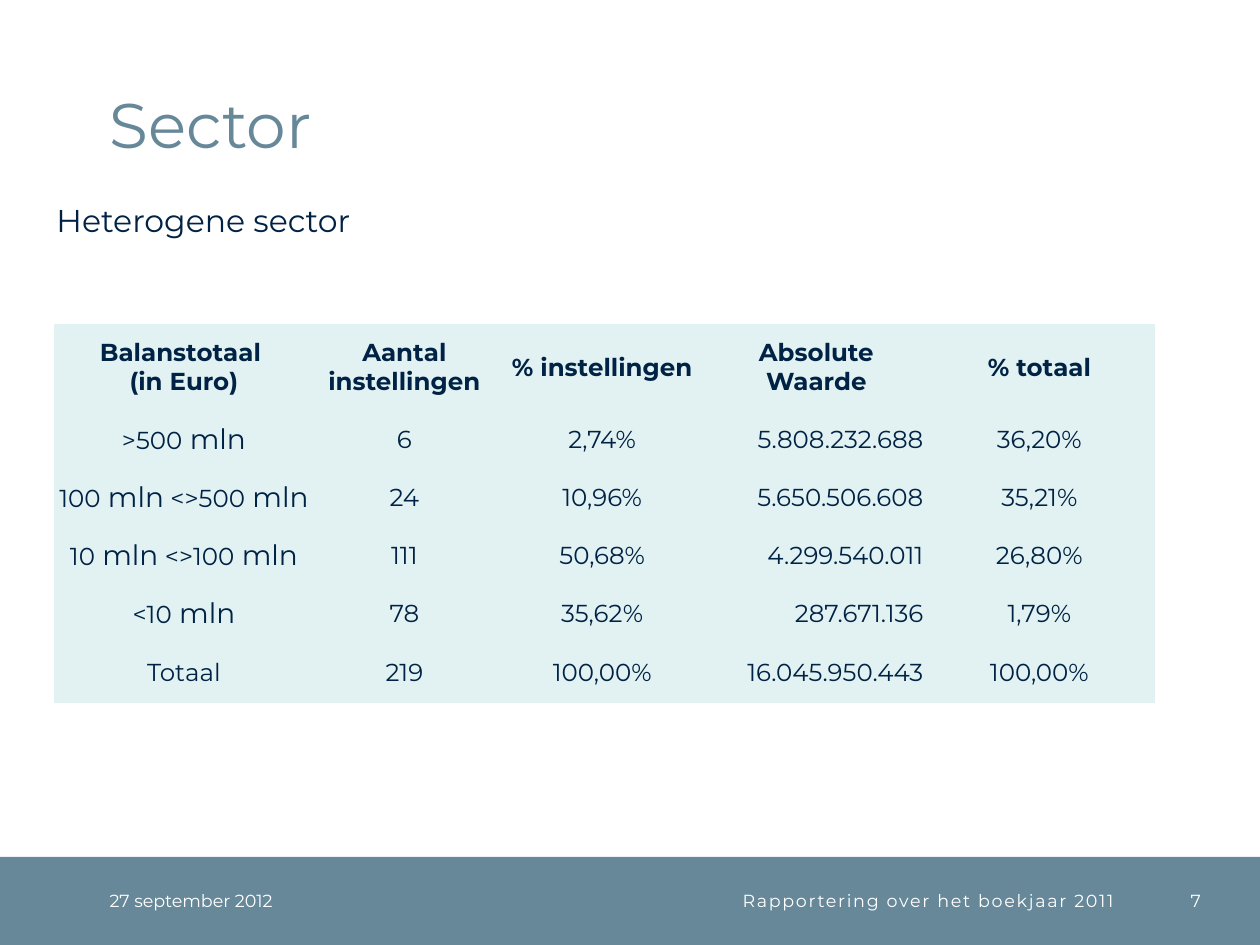
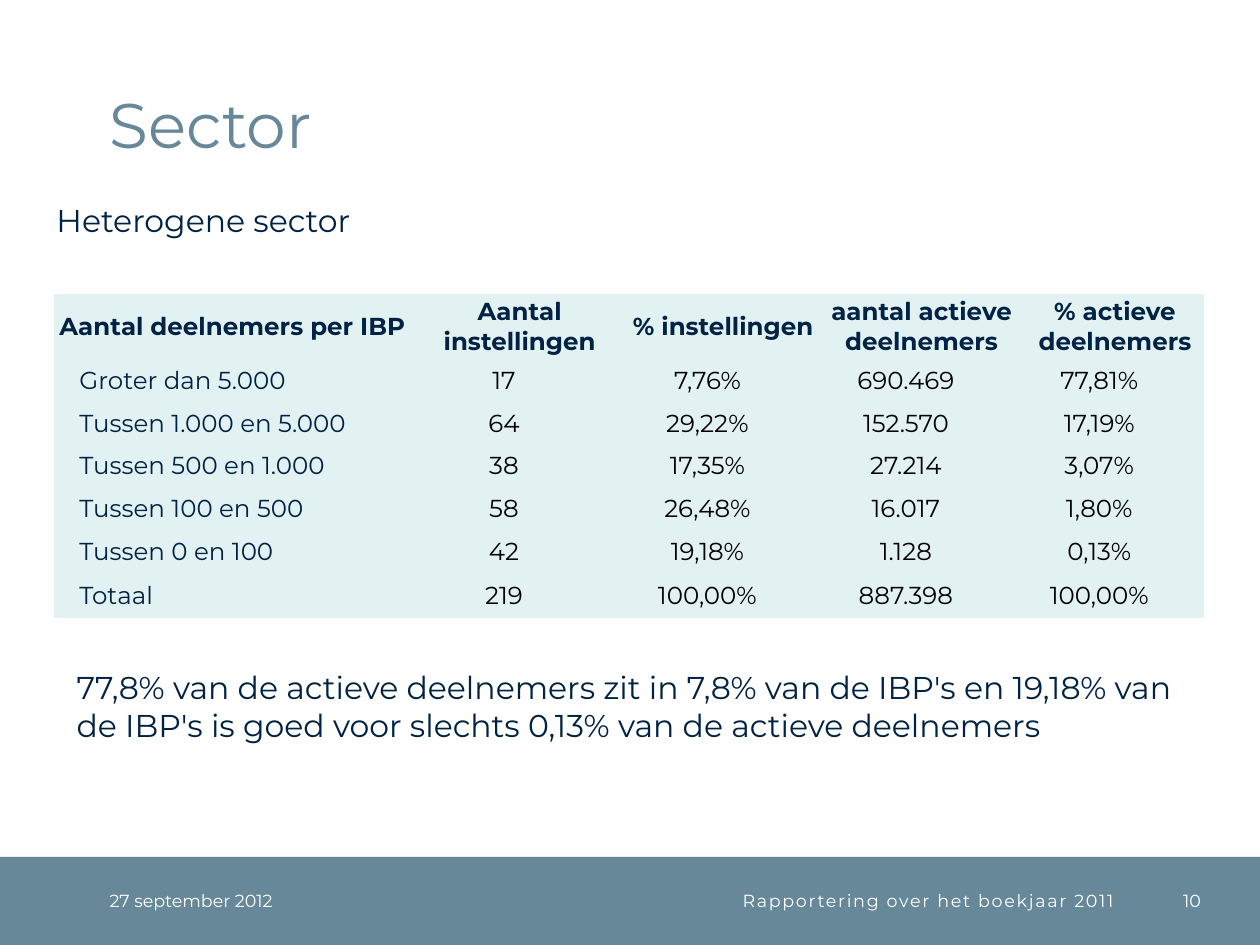
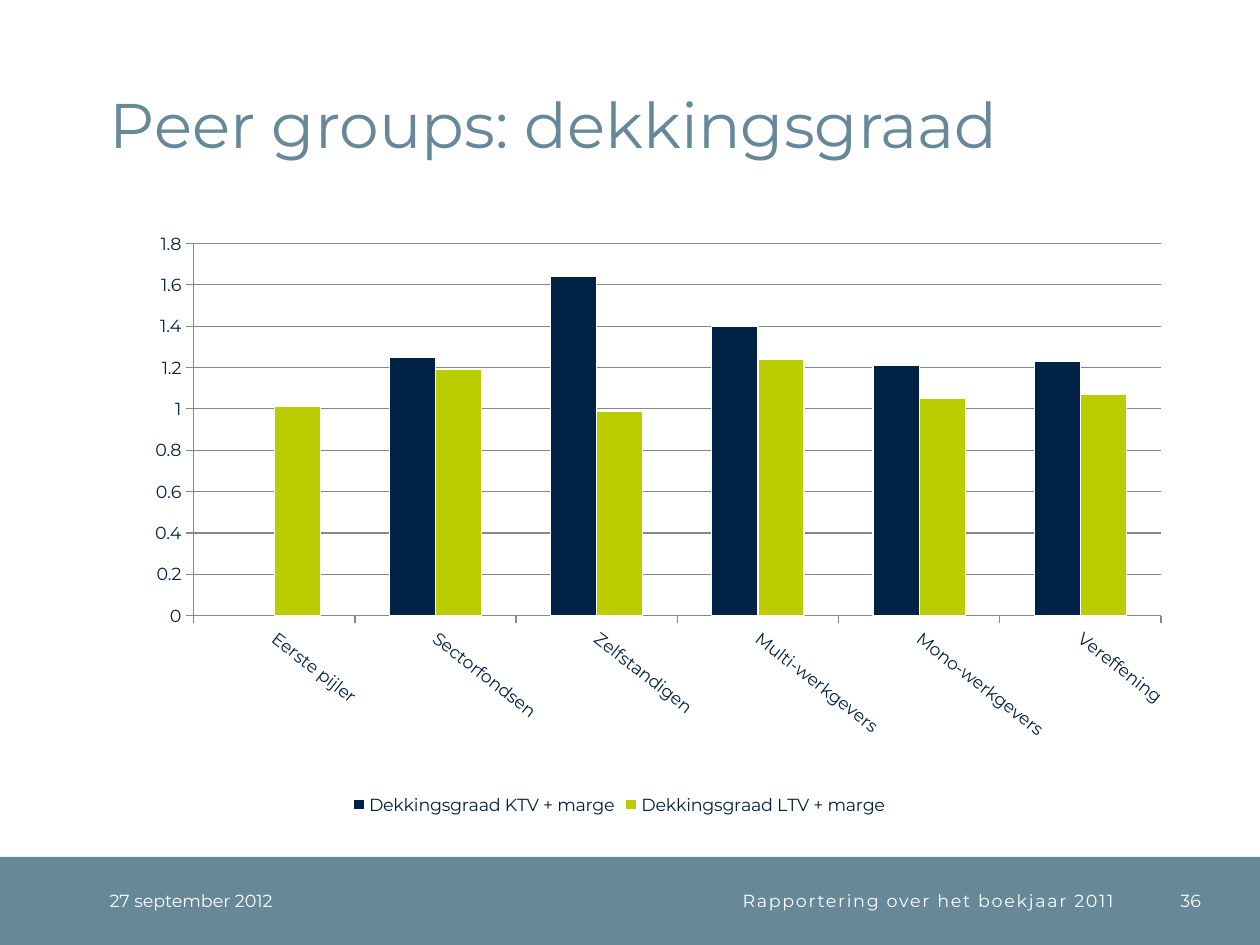
import pptx
import pptx.chart.data
import pptx.dml.color
import pptx.enum.chart
import pptx.enum.shapes
import pptx.enum.text
import pptx.oxml
import pptx.oxml.ns
import pptx.util
from pptx.dml.color import RGBColor
from pptx.util import Inches

WHITE = RGBColor(0xFF, 0xFF, 0xFF)
BLACK = RGBColor(0x00, 0x00, 0x00)
NAVY = RGBColor(0x00, 0x22, 0x44)
SLATE = RGBColor(0x66, 0x88, 0x99)
LIME = RGBColor(0xBB, 0xCC, 0x00)
PALE = RGBColor(0xE2, 0xF2, 0xF2)
GREY = RGBColor(0x87, 0x87, 0x87)

FONT = "Montserrat"
DATE = "27 september 2012"
FOOTER = "Rapportering over het boekjaar 2011"
NO_TABLE_STYLE = "{2D5ABB26-0587-4C30-8999-92F81FD0307C}"

LEFT = pptx.enum.text.PP_ALIGN.LEFT
CENTER = pptx.enum.text.PP_ALIGN.CENTER
RIGHT = pptx.enum.text.PP_ALIGN.RIGHT
MIDDLE = pptx.enum.text.MSO_ANCHOR.MIDDLE
NO_MARGINS = {f"margin_{side}": 0 for side in ("left", "top", "right", "bottom")}

SIZE_HEADERS = ["Balanstotaal \n(in Euro)", "Aantal instellingen", "% instellingen",
                "Absolute Waarde", "% totaal"]
SIZE_ROWS = [
    [">500 mln", "6", "2,74%", "5.808.232.688", "36,20%"],
    ["100 mln <>500 mln", "24", "10,96%", "5.650.506.608", "35,21%"],
    ["10 mln <>100 mln", "111", "50,68%", "4.299.540.011", "26,80%"],
    ["<10 mln", "78", "35,62%", "287.671.136", "1,79%"],
    ["Totaal", "219", "100,00%", "16.045.950.443", "100,00%"],
]
MEMBER_HEADERS = ["Aantal deelnemers per IBP", "Aantal instellingen", "% instellingen",
                  "aantal actieve deelnemers", "% actieve deelnemers"]
MEMBER_ROWS = [
    ["Groter dan 5.000", "17", "7,76%", "690.469", "77,81%"],
    ["Tussen 1.000 en 5.000", "64", "29,22%", "152.570", "17,19%"],
    ["Tussen 500 en 1.000", "38", "17,35%", "27.214", "3,07%"],
    ["Tussen 100 en 500", "58", "26,48%", "16.017", "1,80%"],
    ["Tussen 0 en 100", "42", "19,18%", "1.128", "0,13%"],
    ["Totaal", "219", "100,00%", "887.398", "100,00%"],
]
GROUPS = ["Eerste pijler", "Sectorfondsen", "Zelfstandigen", "Multi-werkgevers",
          "Mono-werkgevers", "Vereffening"]
COVERAGE = [
    ("Dekkingsgraad KTV + marge", [None, 1.25, 1.64, 1.4, 1.21, 1.23], NAVY),
    ("Dekkingsgraad LTV + marge", [1.01, 1.19, 0.99, 1.24, 1.05, 1.07], LIME),
]


def set_all(target, values):
    """Set each named attribute of the target."""
    for name, value in values.items():
        setattr(target, name, value)


def style_font(font, size, color, bold=False):
    """Apply the deck typeface with a size, colour and weight."""
    set_all(font, {"name": FONT, "size": pptx.util.Pt(size), "bold": bold})
    font.color.rgb = color


def add_text(slide, box, text, size, color, align=LEFT, frame=None):
    """Add a wrapping text box and return its run."""
    tf = slide.shapes.add_textbox(*map(Inches, box)).text_frame
    set_all(tf, {"word_wrap": True, **(frame or {})})
    p = tf.paragraphs[0]
    p.alignment = align
    r = p.add_run()
    r.text = text
    style_font(r.font, size, color)
    return r


def add_footer(slide, box, number):
    """Draw the bottom band with date, report name and slide number."""
    left, top, width, height = box
    band = slide.shapes.add_shape(pptx.enum.shapes.MSO_SHAPE.RECTANGLE, *map(Inches, box))
    band.shadow.inherit = False
    band.fill.solid()
    band.fill.fore_color.rgb = SLATE
    band.line.fill.background()
    frame = {"vertical_anchor": MIDDLE, **NO_MARGINS}
    parts = [(0.87, 1.77, DATE, LEFT, 0), (2.64, 6.2, FOOTER, RIGHT, 100),
             (9.04, 0.49, str(number), RIGHT, 0)]
    for offset, part_width, text, align, spacing in parts:
        r = add_text(slide, (left + offset, top, part_width, height), text, 10, WHITE, align, frame)
        if spacing:
            r.font._element.set("spc", str(spacing))


def add_title(slide, box, text):
    """Move and format the title placeholder."""
    sp = slide.shapes.title
    set_all(sp, dict(zip(("left", "top", "width", "height"), map(Inches, box))))
    tf = sp.text_frame
    tf.text = text
    set_all(tf, {"vertical_anchor": pptx.enum.text.MSO_ANCHOR.BOTTOM, "word_wrap": True,
                 "auto_size": pptx.enum.text.MSO_AUTO_SIZE.NONE, **NO_MARGINS})
    p = tf.paragraphs[0]
    set_all(p, {"alignment": LEFT, "line_spacing": pptx.util.Pt(32)})
    style_font(p.runs[0].font, 36, SLATE)


def new_slide(prs, title, number):
    """Add a slide with the shared title and footer."""
    slide = prs.slides.add_slide(prs.slide_layouts[5])
    add_footer(slide, (0, 6.8, 10, 0.7), number)
    add_title(slide, (0.87, 0.2, 8.63, 1.08), title)
    return slide


def fill_cell(cell, text, align, color, bold, margins):
    """Write one table cell, with the unit mln slightly larger."""
    set_all(cell, {"vertical_anchor": MIDDLE, **NO_MARGINS, **margins})
    cell.fill.solid()
    cell.fill.fore_color.rgb = PALE
    tf = cell.text_frame
    for i, line in enumerate(text.split("\n")):
        p = tf.add_paragraph() if i else tf.paragraphs[0]
        p.alignment = align
        for part in filter(None, line.replace(" mln", "| mln|").split("|")):
            r = p.add_run()
            r.text = part
            style_font(r.font, 16 if "mln" in part else 14, color, bold)


def add_grid(slide, origin, widths, heights, headers, rows, columns):
    """Add a table whose body columns follow (align, colour, margins)."""
    box = (*origin, sum(widths), sum(heights))
    frame = slide.shapes.add_table(len(heights), len(widths), *map(Inches, box))
    table = frame.table
    set_all(table, {"first_row": False, "horz_banding": False})
    frame.element.xpath(".//a:tableStyleId")[0].text = NO_TABLE_STYLE
    for column, width in zip(table.columns, widths):
        column.width = Inches(width)
    for row, height in zip(table.rows, heights):
        row.height = Inches(height)
    for c, (header, (align, color, margins)) in enumerate(zip(headers, columns)):
        fill_cell(table.cell(0, c), header, CENTER, NAVY, True, {})
        for r, values in enumerate(rows, 1):
            fill_cell(table.cell(r, c), values[c], align, color, False, margins)


def add_coverage_chart(slide, box):
    """Add the clustered column chart of coverage ratios."""
    data = pptx.chart.data.CategoryChartData()
    data.categories = GROUPS
    for name, values, _ in COVERAGE:
        data.add_series(name, values)
    kind = pptx.enum.chart.XL_CHART_TYPE.COLUMN_CLUSTERED
    chart = slide.shapes.add_chart(kind, *map(Inches, box), data).chart
    set_all(chart, {"has_title": False, "has_legend": True})
    style_font(chart.font, 10, NAVY)
    set_all(chart.legend, {"position": pptx.enum.chart.XL_LEGEND_POSITION.BOTTOM,
                           "include_in_layout": False})
    plot = chart.plots[0]
    set_all(plot, {"gap_width": 150, "overlap": 0, "vary_by_categories": False})
    for series, (_, _, color) in zip(plot.series, COVERAGE):
        series.format.fill.solid()
        series.format.fill.fore_color.rgb = color
        series.format.line.color.rgb = WHITE
        series.format.line.width = pptx.util.Pt(0.75)
    format_axes(chart)
    set_plot_area(chart, {"x": 0.13, "y": 0.106, "w": 0.841, "h": 0.577})


def format_axes(chart):
    """Style both axes and slant the category labels."""
    values = chart.value_axis
    set_all(values, {"minimum_scale": 0, "maximum_scale": 1.8, "major_unit": 0.2,
                     "has_major_gridlines": True})
    set_all(values.tick_labels, {"number_format": "General", "number_format_is_linked": False})
    for axis in (values, chart.category_axis):
        axis.major_tick_mark = pptx.enum.chart.XL_TICK_MARK.OUTSIDE
        style_font(axis.tick_labels.font, 10, NAVY)
    for part in (values, values.major_gridlines, chart.category_axis):
        part.format.line.color.rgb = GREY
        part.format.line.width = pptx.util.Pt(0.75)
    body = chart.element.xpath(".//c:catAx/c:txPr/a:bodyPr")[0]
    body.set("rot", str(38 * 60000))
    body.set("vert", "horz")


def set_plot_area(chart, fractions):
    """Fix the inner plot area as fractions of the chart."""
    area = chart.element.xpath(".//c:plotArea")[0]
    for old in area.xpath("c:layout"):
        area.remove(old)
    modes = '<c:layoutTarget val="inner"/><c:xMode val="edge"/><c:yMode val="edge"/>'
    places = "".join(f'<c:{key} val="{value}"/>' for key, value in fractions.items())
    area.insert(0, pptx.oxml.parse_xml(
        f'<c:layout {pptx.oxml.ns.nsdecls("c")}><c:manualLayout>{modes}{places}'
        "</c:manualLayout></c:layout>"))


def sector_slide(prs, number):
    """Add a sector slide with its subheading."""
    slide = new_slide(prs, "Sector", number)
    add_text(slide, (0.35, 1.55, 3.23, 0.4), "Heterogene sector", 18, NAVY)
    return slide


def balance_slide(prs):
    """Build the table by balance sheet total."""
    slide = sector_slide(prs, 7)
    centred = (CENTER, NAVY, {})
    columns = [centred] * 3 + [(RIGHT, NAVY, {}), centred]
    add_grid(slide, (0.43, 2.57), [2.06, 1.44, 1.7, 1.7, 1.84], [0.69] + [0.46] * 4 + [0.48],
             SIZE_HEADERS, SIZE_ROWS, columns)


def members_slide(prs):
    """Build the table by number of members and its conclusion."""
    slide = sector_slide(prs, 10)
    columns = [(LEFT, NAVY, {"margin_left": Inches(0.2)})]
    columns += [(CENTER, BLACK, {"margin_right": Inches(0.25)})] * 4
    add_grid(slide, (0.43, 2.33), [2.83, 1.73, 1.5, 1.65, 1.42], [0.52] + [0.34] * 5 + [0.36],
             MEMBER_HEADERS, MEMBER_ROWS, columns)
    add_text(slide, (0.51, 5.25, 9.06, 0.71),
             "77,8% van de actieve deelnemers zit in 7,8% van de IBP's en 19,18% van "
             "de IBP's is goed voor slechts 0,13% van de actieve deelnemers", 18, NAVY)


def coverage_slide(prs):
    """Build the peer group chart slide."""
    slide = new_slide(prs, "Peer groups: dekkingsgraad", 36)
    add_coverage_chart(slide, (0.35, 1.39, 9.13, 5.12))


def main():
    """Build and save the deck."""
    prs = pptx.Presentation()
    set_all(prs, {"slide_width": Inches(10), "slide_height": Inches(7.5)})
    balance_slide(prs)
    members_slide(prs)
    coverage_slide(prs)
    prs.save("out.pptx")


if __name__ == "__main__":
    main()
